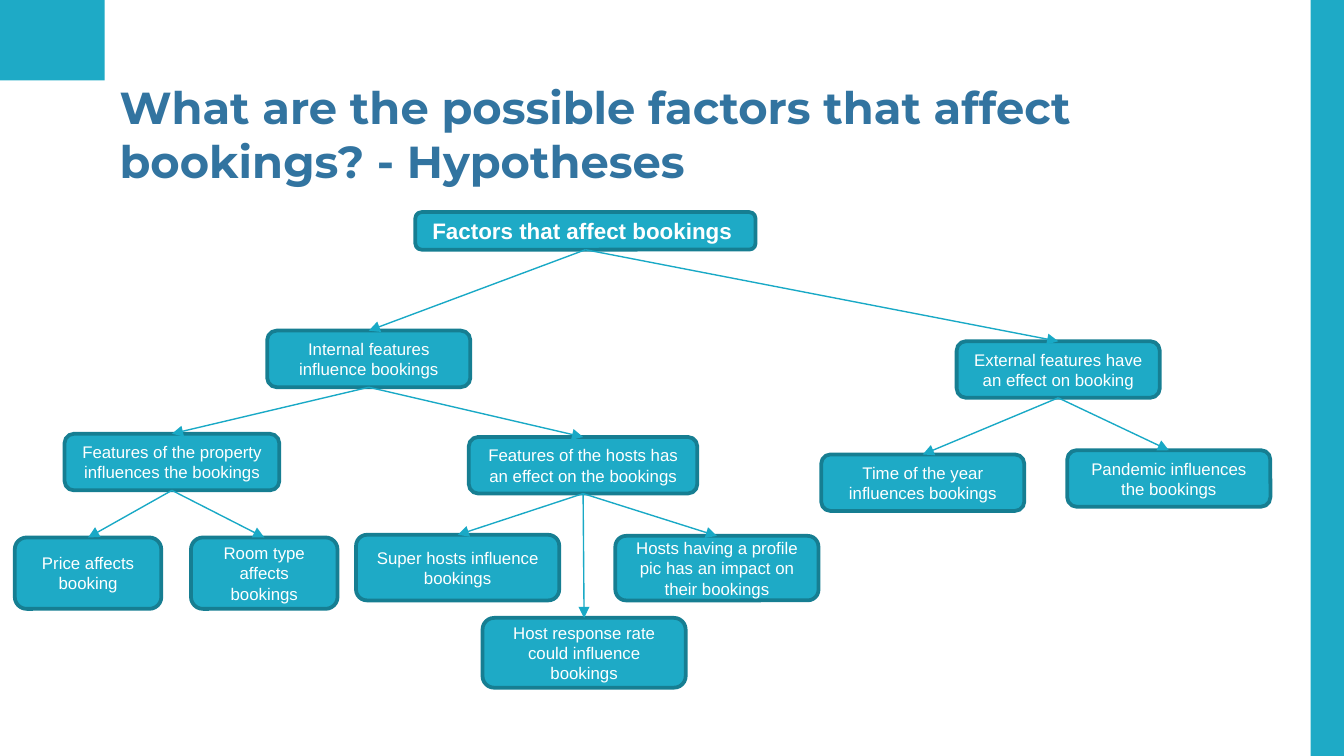
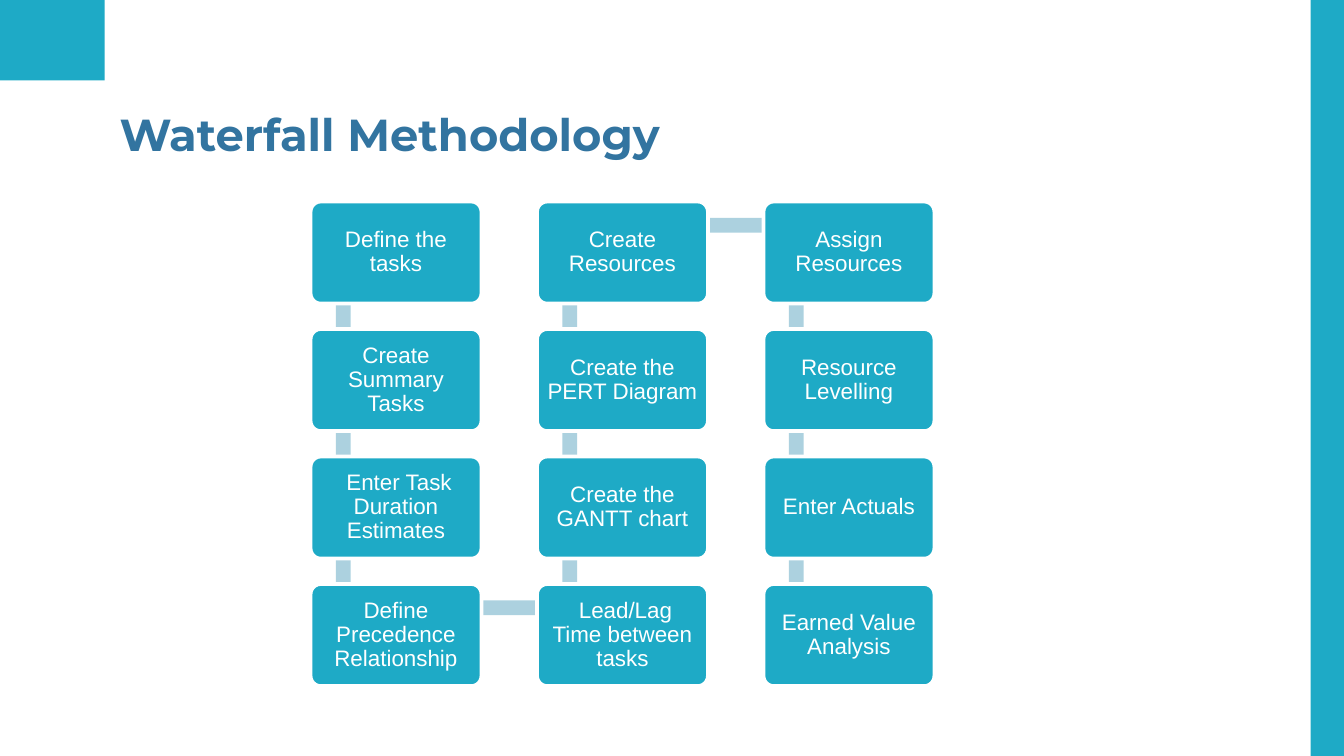
from dataclasses import dataclass
from itertools import pairwise

from lxml.etree import SubElement
from pptx import Presentation
from pptx.dml.color import RGBColor as Rgb
from pptx.enum.shapes import MSO_CONNECTOR as Wire, MSO_SHAPE as Form
from pptx.enum.text import MSO_ANCHOR as Anchor, PP_ALIGN as Align
from pptx.oxml.ns import qn
from pptx.util import Cm, Pt


@dataclass(frozen=True)
class Theme:
    teal: str = "1EAAC6"
    edge: str = "167E92"
    wire: str = "19A9C6"
    pale: str = "ACD1DF"
    blue: str = "3274A0"
    white: str = "FFFFFF"
    head: str = "Montserrat"
    body: str = "Arial"
    title: float = 24
    large: float = 12
    small: float = 9
    border: float = 2
    thin: float = 0.75


THEME = Theme()

# Factor tree: text, (left, top, width, height) in cm, children
TREE = ("Factors that affect bookings ", (7.85, 4.01, 6.43, 0.71), [
    ("Internal features influence bookings", (5.05, 6.25, 3.84, 1.07), [
        ("Features of the property influences the bookings",
         (1.22, 8.2, 4.06, 1.07), [
             ("Price affects booking", (0.28, 10.16, 2.77, 1.35), []),
             ("Room type affects bookings", (3.61, 10.16, 2.77, 1.35), []),
         ]),
        ("Features of the hosts has an effect on the bookings",
         (8.86, 8.26, 4.32, 1.07), [
             ("Super hosts influence bookings",
              (6.73, 10.11, 3.84, 1.24), []),
             ("Host response rate could influence bookings",
              (9.12, 11.68, 3.84, 1.32), []),
             ("Hosts having a profile pic has an impact on their bookings",
              (11.63, 10.13, 3.84, 1.22), []),
         ]),
    ]),
    ("External features have an effect on booking",
     (18.08, 6.45, 3.84, 1.07), [
         ("Time of the year influences bookings",
          (15.52, 8.59, 3.84, 1.07), []),
         ("Pandemic influences the bookings",
          (20.17, 8.51, 3.84, 1.07), []),
     ]),
])

# Waterfall steps in reading order, and their grid in cm
STEPS = [
    "Define the tasks", "Create Summary Tasks",
    " Enter Task Duration Estimates", "Define Precedence Relationship",
    " Lead/Lag Time between tasks", "Create the GANTT chart",
    "Create the PERT Diagram", "Create Resources",
    "Assign Resources", "Resource Levelling",
    "Enter Actuals", "Earned Value Analysis",
]
ROWS = 4
LEFT, TOP = 5.87, 3.81
STEP_X, STEP_Y = 4.28, 2.41
CARD_W, CARD_H = 3.23, 1.93
BAR = 0.28


def add_run(para, text, size, color, font, bold=False):
    run = para.add_run()
    run.text = text
    run.font.size = Pt(size)
    run.font.name = font
    run.font.bold = bold
    run.font.color.rgb = Rgb.from_string(color)


def add_block(slide, form, box, fill, line=None):
    shape = slide.shapes.add_shape(form, *map(Cm, box))
    shape.shadow.inherit = False
    shape.fill.solid()
    shape.fill.fore_color.rgb = Rgb.from_string(fill)
    if line:
        shape.line.color.rgb = Rgb.from_string(line)
        shape.line.width = Pt(THEME.border)
    else:
        shape.line.fill.background()
    return shape


def add_label(shape, text, size, bold=False):
    frame = shape.text_frame
    frame.word_wrap = True
    frame.vertical_anchor = Anchor.MIDDLE
    para = frame.paragraphs[0]
    para.alignment = Align.CENTER
    add_run(para, text, size, THEME.white, THEME.body, bold)
    return frame


def add_arrow(slide, start, end):
    arrow = slide.shapes.add_connector(Wire.STRAIGHT, 0, 0, 0, 0)
    arrow.begin_connect(start, 2)
    arrow.end_connect(end, 0)
    arrow.line.color.rgb = Rgb.from_string(THEME.wire)
    arrow.line.width = Pt(THEME.thin)
    SubElement(arrow.line._get_or_add_ln(), qn("a:tailEnd"), type="triangle")
    SubElement(arrow._element.spPr, qn("a:effectLst"))


def add_page(deck, title, width):
    """Blank slide with the corner block, side band and title."""
    slide = deck.slides.add_slide(deck.slide_layouts[6])
    add_block(slide, Form.RECTANGLE, (0, 0, 1.98, 1.52), THEME.teal)
    add_block(slide, Form.RECTANGLE, (24.77, 0, 0.79, 14.29), THEME.teal)
    box = slide.shapes.add_textbox(Cm(2.01), Cm(1.88), Cm(width), Cm(1.3))
    frame = box.text_frame
    frame.word_wrap = True
    frame.vertical_anchor = Anchor.MIDDLE
    frame.margin_left = frame.margin_right = Cm(0.25)
    frame.margin_top = frame.margin_bottom = Cm(0.25)
    add_run(frame.paragraphs[0], title, THEME.title, THEME.blue,
            THEME.head, True)
    return slide


def add_tree(slide, node, root=True):
    text, box, kids = node
    shape = add_block(slide, Form.ROUNDED_RECTANGLE, box,
                      THEME.teal, THEME.edge)
    add_label(shape, text, THEME.large if root else THEME.small, root)
    for kid in kids:
        add_arrow(slide, shape, add_tree(slide, kid, False))
    return shape


def find_cell(index):
    """Column and row of a step: odd columns run upwards."""
    col, row = divmod(index, ROWS)
    return col, ROWS - 1 - row if col % 2 else row


def find_spot(col, row):
    return LEFT + col * STEP_X, TOP + row * STEP_Y


def add_bar(slide, here, after):
    left, top = find_spot(*min(here, after))
    if here[0] == after[0]:
        box = (left + 0.48, top + 0.5, BAR, STEP_Y)
    else:
        box = (left + 0.66, top + 0.31, STEP_X, BAR)
    add_block(slide, Form.RECTANGLE, box, THEME.pale)


def add_card(slide, cell, text):
    card = add_block(slide, Form.ROUNDED_RECTANGLE,
                     (*find_spot(*cell), CARD_W, CARD_H),
                     THEME.teal, THEME.white)
    card.adjustments[0] = 0.1
    frame = add_label(card, text, THEME.large)
    frame.margin_left = frame.margin_right = Cm(0.12)
    frame.margin_top = frame.margin_bottom = Cm(0.12)
    frame.paragraphs[0].line_spacing = 0.9


def add_flow(slide):
    cells = [find_cell(index) for index in range(len(STEPS))]
    for here, after in pairwise(cells):
        add_bar(slide, here, after)
    for cell, text in zip(cells, STEPS):
        add_card(slide, cell, text)


def main():
    deck = Presentation()
    deck.slide_width, deck.slide_height = Cm(25.4), Cm(14.29)

    # Hypotheses
    title = "What are the possible factors that affect bookings? - Hypotheses"
    add_tree(add_page(deck, title, 21.54), TREE)

    # Waterfall
    add_flow(add_page(deck, "Waterfall Methodology", 17.02))

    deck.save("out.pptx")


if __name__ == "__main__":
    main()
